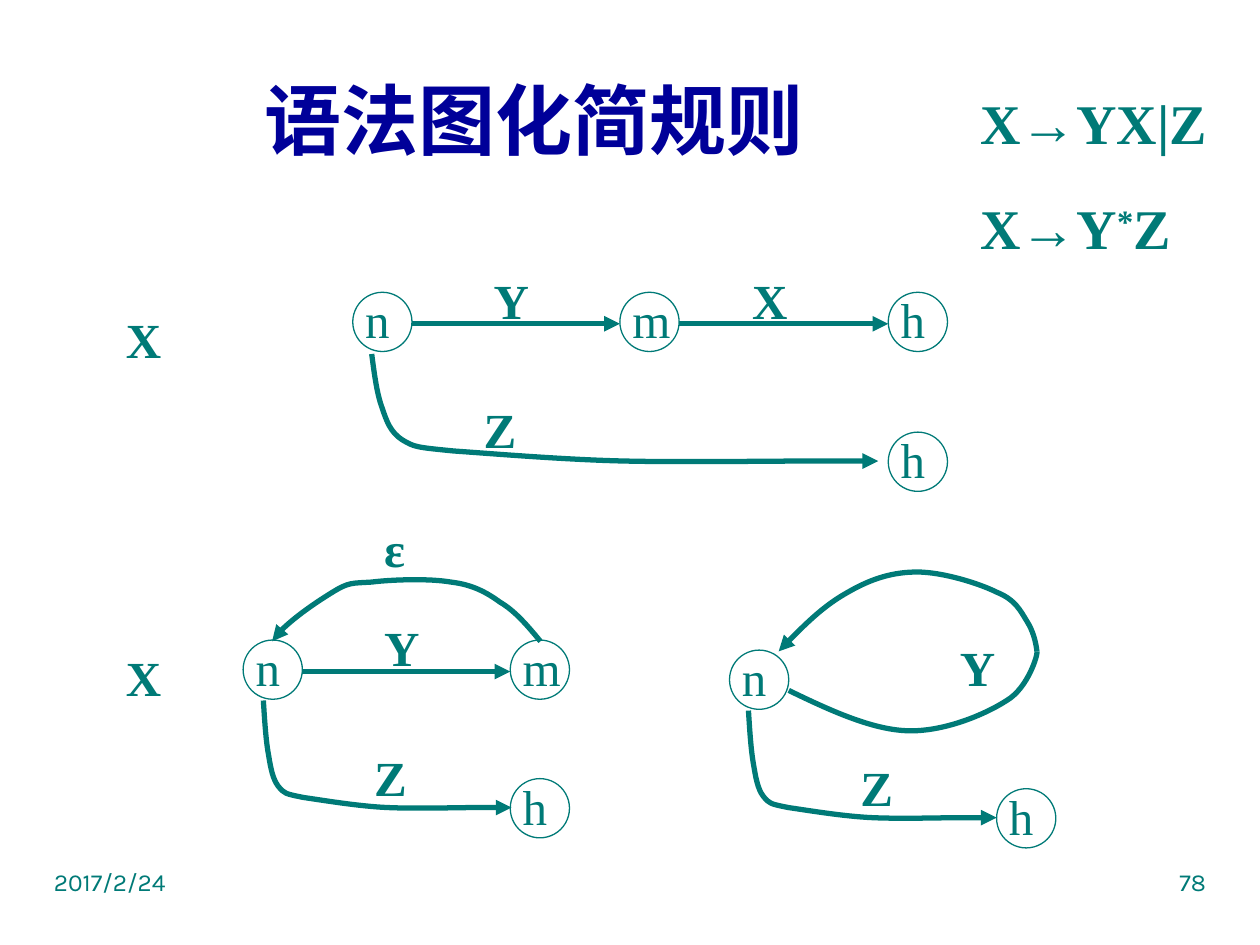
import pptx
import pptx.dml.color
import pptx.enum.shapes
import pptx.enum.text
import pptx.oxml
import pptx.oxml.ns
import pptx.util
from lxml import etree

Inches = pptx.util.Inches
Pt = pptx.util.Pt
RGB = pptx.dml.color.RGBColor
Align = pptx.enum.text.PP_ALIGN
Kind = pptx.enum.shapes.MSO_SHAPE
qn = pptx.oxml.ns.qn

TEAL = RGB(0x00, 0x7A, 0x77)
NAVY = RGB(0x00, 0x00, 0x99)
SERIF = "Times New Roman"
SANS = "Karla"
NODE = 0.47

# Cubic curves: a start point, then three points for each segment
DROP = [(0, 0), (0.02, 0.15), (0.04, 0.31), (0.08, 0.42),
        (0.12, 0.54), (0.15, 0.62), (0.24, 0.68),
        (0.34, 0.74), (0.35, 0.74), (0.65, 0.77),
        (0.94, 0.79), (1.54, 0.84), (2.01, 0.85),
        (2.48, 0.86), (3.12, 0.85), (3.46, 0.85),
        (3.79, 0.85), (3.9, 0.85), (4.02, 0.85)]
BACK = [(4.29, 5.09), (4.19, 4.97), (4.09, 4.85), (3.97, 4.78),
        (3.86, 4.7), (3.75, 4.64), (3.58, 4.62),
        (3.41, 4.59), (3.11, 4.6), (2.95, 4.62),
        (2.79, 4.63), (2.77, 4.62), (2.64, 4.7),
        (2.51, 4.78), (2.23, 4.97), (2.16, 5.09)]
LOW = [(6.26, 5.48), (6.59, 5.64), (6.92, 5.79), (7.2, 5.8),
       (7.49, 5.81), (7.82, 5.67), (7.99, 5.56),
       (8.16, 5.46), (8.24, 5.19), (8.23, 5.17)]
HIGH = [(8.23, 5.17), (8.22, 5.09), (8.2, 5.01), (8.15, 4.93),
        (8.1, 4.85), (8.06, 4.76), (7.91, 4.7),
        (7.77, 4.63), (7.48, 4.54), (7.28, 4.54),
        (7.09, 4.54), (6.92, 4.59), (6.73, 4.7),
        (6.55, 4.8), (6.36, 4.98), (6.18, 5.17)]


class Board:
    """Holds the style and the current slide."""

    def __init__(self, slide):
        self.slide = slide
        self.shapes = slide.shapes

    def style(self, para, size, font=SERIF, color=TEAL, bold=False):
        para.font.size = Pt(size)
        para.font.name = font
        para.font.color.rgb = color
        para.font.bold = bold

    def title(self, text, x, y, w, h):
        box = self.shapes.title
        box.left, box.top = Inches(x), Inches(y)
        box.width, box.height = Inches(w), Inches(h)
        frame = box.text_frame
        frame.text = text
        frame.auto_size = pptx.enum.text.MSO_AUTO_SIZE.NONE
        frame.vertical_anchor = pptx.enum.text.MSO_ANCHOR.MIDDLE
        frame.paragraphs[0].alignment = Align.CENTER
        self.style(frame.paragraphs[0], 44, color=NAVY, bold=True)

    def text(self, text, x, y, w, h, size=28, align=Align.LEFT,
             shapes=None, **style):
        shapes = shapes or self.shapes
        box = shapes.add_textbox(Inches(x), Inches(y), Inches(w), Inches(h))
        frame = box.text_frame
        frame.word_wrap = True
        frame.text = text
        for para in frame.paragraphs:
            para.alignment = align
            self.style(para, size, **style)
        return frame

    def label(self, text, x, y):
        self.text(text, x, y, 0.71, 0.57, bold=True)

    def rules(self, x, y, w, h):
        frame = self.text("X→YX|Z\nX→Y", x, y, w, h, size=32, bold=True)
        last = frame.paragraphs[1]
        star = last.add_run()
        star.text = "*"
        star._r.get_or_add_rPr().set("baseline", "30000")
        last.add_run().text = "Z"
        last.space_before = Pt(18)
        for para in frame.paragraphs:
            para.line_spacing = 1.1

    def node(self, text, x, y):
        group = self.shapes.add_group_shape().shapes
        ring = group.add_shape(Kind.OVAL, Inches(x), Inches(y),
                               Inches(NODE), Inches(NODE))
        ring.shadow.inherit = False
        ring.fill.background()
        self.pen(ring, 0.75)
        self.text(text, x, y - 0.07, NODE, 0.57, shapes=group)

    def pen(self, shape, width, arrow=False):
        shape.line.color.rgb = TEAL
        shape.line.width = Pt(width)
        if arrow:
            line = shape._element.spPr.find(qn("a:ln"))
            etree.SubElement(line, qn("a:tailEnd"), type="triangle")

    def arrow(self, start, end, y):
        line = self.shapes.add_connector(
            pptx.enum.shapes.MSO_CONNECTOR.STRAIGHT,
            Inches(start), Inches(y), Inches(end), Inches(y))
        self.pen(line, 3, arrow=True)
        etree.SubElement(line._element.spPr, qn("a:effectLst"))

    def curve(self, points, arrow=True):
        spots = [(Inches(x), Inches(y)) for x, y in points]
        form = self.shapes.build_freeform(*spots[0])
        form.add_line_segments(spots[1:], close=False)
        shape = form.convert_to_shape()
        shape.shadow.inherit = False
        shape.fill.background()
        self.pen(shape, 3, arrow)
        # Join each three straight steps into one cubic segment
        trace = next(shape._element.iter(qn("a:path")))
        steps = trace.findall(qn("a:lnTo"))
        for i in range(0, len(steps), 3):
            cubic = etree.SubElement(trace, qn("a:cubicBezTo"))
            for step in steps[i:i + 3]:
                cubic.append(step[0])
                trace.remove(step)

    def drop(self, x, y, scale=1.0):
        self.curve([(x + dx * scale, y + dy) for dx, dy in DROP])


def main():
    deck = pptx.Presentation()
    deck.slide_width, deck.slide_height = Inches(10), Inches(7.5)
    board = Board(deck.slides.add_slide(deck.slide_layouts[5]))

    # Title, footer and grammar rules
    board.title("语法图化简规则", 0.75, 0.44, 6.98, 1)
    board.text("2017/2/24", 0.33, 6.83, 2.5, 0.52, size=14, font=SANS)
    board.text("78", 7.17, 6.83, 2.5, 0.52, size=14, font=SANS,
               align=Align.RIGHT)
    board.rules(7.68, 0.6, 2.13, 1.54)

    # Nodes of the three diagrams
    for text, x, y in [
            ("n", 2.8, 2.32), ("m", 4.92, 2.32), ("h", 7.05, 2.32),
            ("h", 7.05, 3.43),
            ("n", 1.93, 5.08), ("m", 4.05, 5.08), ("h", 4.05, 6.18),
            ("n", 5.79, 5.16), ("h", 7.91, 6.26)]:
        board.node(text, x, y)

    # Straight edges
    for start, end, y in [(3.27, 4.92, 2.57), (5.39, 7.05, 2.57),
                          (2.4, 4.05, 5.33)]:
        board.arrow(start, end, y)

    # Curved edges
    board.drop(2.95, 2.81)
    board.drop(2.09, 5.56, 0.49)
    board.drop(5.94, 5.64, 0.49)
    board.curve(BACK)
    board.curve(LOW, arrow=False)
    board.curve(HIGH)

    # Edge and diagram labels
    for text, x, y in [
            ("X", 0.9, 2.41), ("Y", 3.82, 2.1), ("X", 5.87, 2.1),
            ("Z", 3.74, 3.12),
            ("X", 0.9, 5.09), ("ε", 2.95, 4.07), ("Y", 2.95, 4.85),
            ("Z", 2.87, 5.88),
            ("Y", 7.52, 5.01), ("Z", 6.73, 5.96)]:
        board.label(text, x, y)

    deck.save("out.pptx")


if __name__ == "__main__":
    main()
